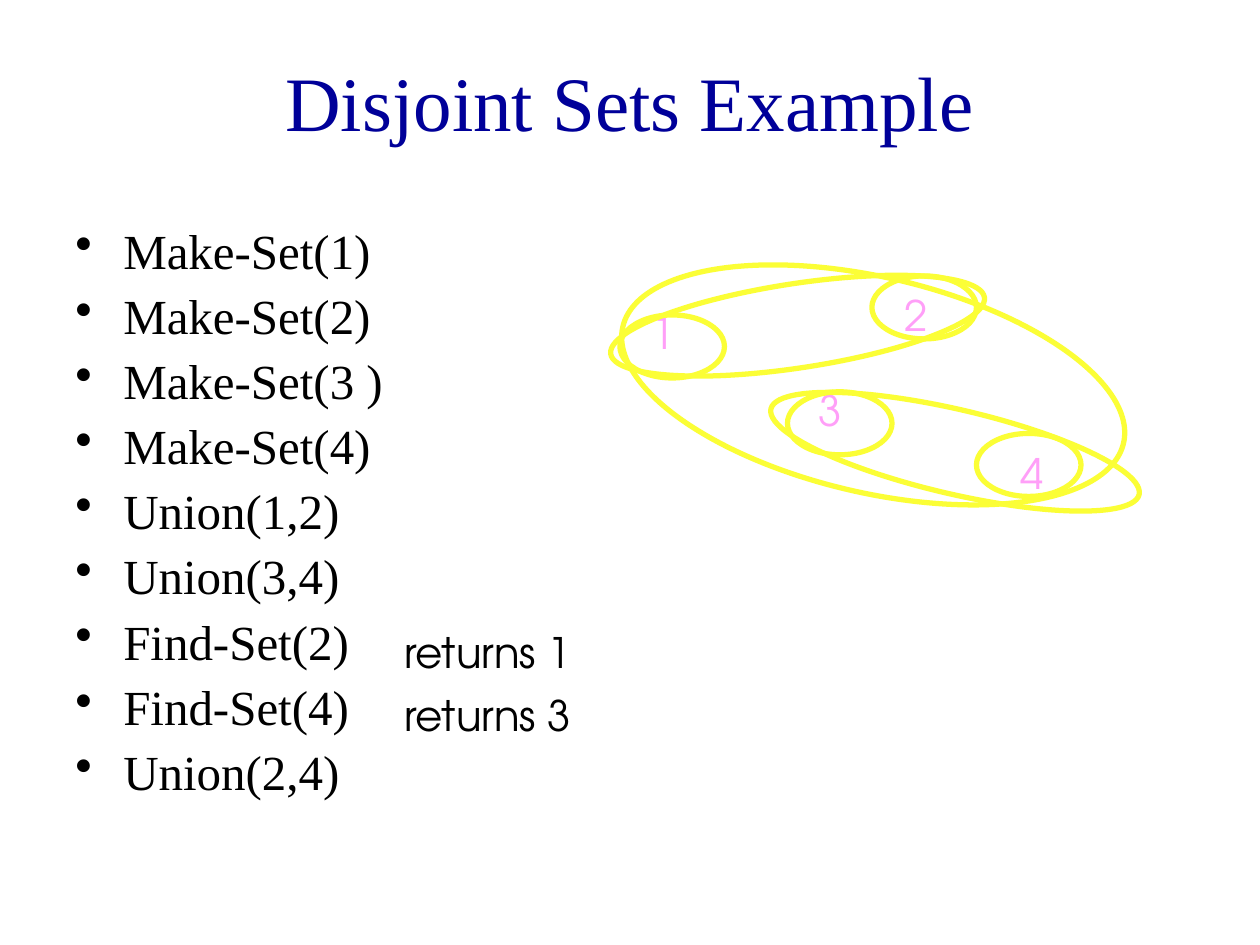
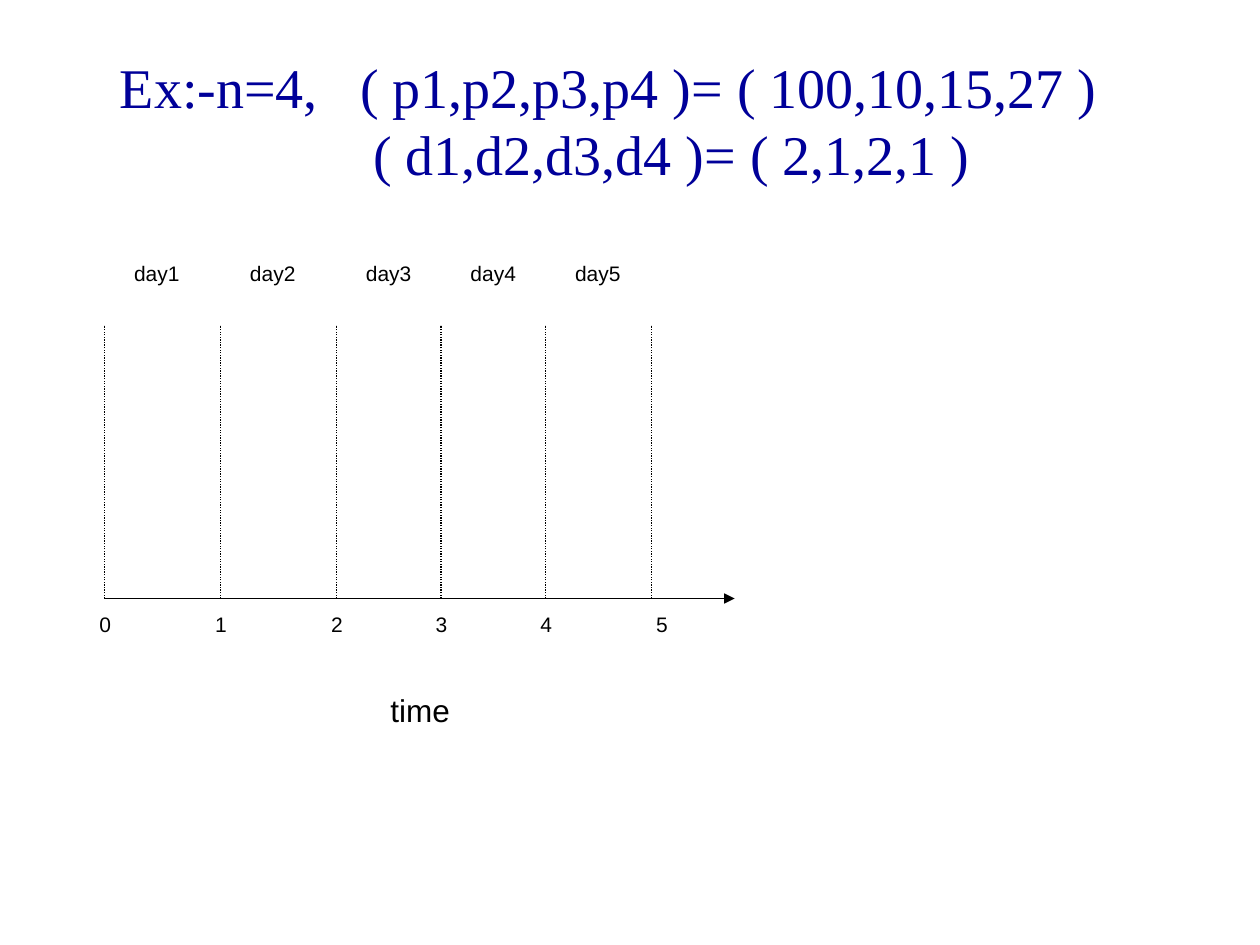
from lxml.etree import SubElement
from pptx import Presentation
from pptx.dml.color import RGBColor
from pptx.enum.dml import MSO_LINE
from pptx.enum.shapes import MSO_CONNECTOR as CONNECTOR, MSO_SHAPE as SHAPE
from pptx.enum.text import MSO_ANCHOR as ANCHOR, MSO_AUTO_SIZE as AUTO_SIZE, PP_ALIGN as ALIGN
from pptx.oxml.ns import qn
from pptx.util import Inches, Pt

COLORS = {
    "title": "000099",
    "text": "000000",
    "number": "FF9FF8",
    "ring": "FBFE36",
    "paper": "FFFFFF",
}
SERIF, SANS, ROUND = "Times New Roman", "Arial", "TeX Gyre Adventor"


def color(name):
    return RGBColor.from_string(COLORS[name])


class Deck:
    def __init__(self):
        self.deck = Presentation()
        self.deck.slide_width, self.deck.slide_height = Inches(10), Inches(7.5)
        self.page = None

    def new_page(self):
        self.page = self.deck.slides.add_slide(self.deck.slide_layouts[6])

    def span(self, para, text, size, font, tint="text"):
        span = para.add_run()
        span.text = text
        span.font.size, span.font.name = Pt(size), font
        span.font.color.rgb = color(tint)
        return span

    def box(self, left, top, width, height, wrap=True):
        box = self.page.shapes.add_textbox(*map(Inches, (left, top, width, height)))
        box.text_frame.word_wrap = wrap
        return box.text_frame

    def title(self, left, top):
        frame = self.box(left, top, 8.5, 1.25)
        frame.vertical_anchor = ANCHOR.MIDDLE
        frame.paragraphs[0].alignment = ALIGN.CENTER
        return frame

    def bullets(self, lines, left, top, width, height):
        frame = self.box(left, top, width, height)
        for index, line in enumerate(lines):
            para = frame.add_paragraph() if index else frame.paragraphs[0]
            para.line_spacing, para.space_before = 0.9, Pt(7)
            props = para._p.get_or_add_pPr()
            props.set("marL", str(Inches(0.38)))
            props.set("indent", str(-Inches(0.38)))
            SubElement(props, qn("a:buChar"), char="•")
            self.span(para, line, 28, SERIF)

    def note(self, text, left, top, width, tint="text"):
        frame = self.box(left, top, width, 0.5, wrap=False)
        frame.auto_size = AUTO_SIZE.SHAPE_TO_FIT_TEXT
        self.span(frame.paragraphs[0], text, 24, ROUND, tint)

    def shape(self, kind, left, top, width, height, line, weight):
        shape = self.page.shapes.add_shape(kind, *map(Inches, (left, top, width, height)))
        shape.shadow.inherit = False
        shape.line.color.rgb, shape.line.width = color(line), Pt(weight)
        return shape

    def ring(self, left, top, width, height, angle=0):
        ring = self.shape(SHAPE.OVAL, left, top, width, height, "ring", 3)
        ring.fill.background()
        ring.rotation = angle

    def label(self, text, left, top, width, height, size=12):
        plate = self.shape(SHAPE.RECTANGLE, left, top, width, height, "paper", 0.75)
        plate.fill.solid()
        plate.fill.fore_color.rgb = color("paper")
        frame = plate.text_frame
        frame.word_wrap, frame.vertical_anchor = False, ANCHOR.MIDDLE
        frame.paragraphs[0].alignment = ALIGN.CENTER
        self.span(frame.paragraphs[0], text, size, SANS)

    def line(self, x1, y1, x2, y2, dash=None, arrow=False):
        line = self.page.shapes.add_connector(CONNECTOR.STRAIGHT, *map(Inches, (x1, y1, x2, y2)))
        line.line.color.rgb, line.line.width = color("text"), Pt(0.75)
        if dash:
            line.line.dash_style = dash
        if arrow:
            SubElement(line.line._get_or_add_ln(), qn("a:tailEnd"), type="triangle")
        SubElement(line._element.spPr, qn("a:effectLst"))


def disjoint_sets(deck):
    deck.new_page()
    title = deck.title(0.75, 0.17)
    deck.span(title.paragraphs[0], "Disjoint Sets Example", 44, SERIF, "title")
    deck.bullets(
        ["Make-Set(1)", "Make-Set(2)", "Make-Set(3 )", "Make-Set(4)", "Union(1,2)",
         "Union(3,4)", "Find-Set(2)", "Find-Set(4)", "Union(2,4)"],
        0.5, 1.75, 3.11, 4.95)

    # Single-element sets: number position, then ring position
    singles = {
        "2": ((7.08, 2.25), (6.92, 2.19)),
        "1": ((5.07, 2.39), (4.92, 2.5)),
        "3": ((6.4, 3), (6.25, 3.11)),
        "4": ((8, 3.5), (7.75, 3.44)),
    }
    for number, (number_at, ring_at) in singles.items():
        deck.note(number, *number_at, 0.39, "number")
        deck.ring(*ring_at, 0.83, 0.5)

    # Unions of two sets, results, union of all
    deck.ring(4.83, 2.25, 3, 0.67, 351.4)
    deck.ring(6.08, 3.25, 3, 0.67, 13.1)
    for row, result in enumerate(["returns 1", "returns 3"]):
        deck.note(result, 3.11, 4.92 + 0.5 * row, 1.63)
    deck.ring(4.89, 2.2, 4.08, 1.71, 13.1)


def job_schedule(deck):
    deck.new_page()

    # Two-line title, kept above the middle by a deep bottom margin
    title = deck.title(0.58, 0.58)
    title.margin_bottom = Inches(0.56)
    profits = title.paragraphs[0]
    deck.span(profits, "Ex:-n=4,", 32, SERIF, "title")
    gap = deck.span(profits, " ", 32, SERIF, "title")
    gap._r.get_or_add_rPr().set("spc", "1600")
    deck.span(profits, "( p1,p2,p3,p4 )= ( 100,10,15,27 )", 32, SERIF, "title")
    deadlines = title.add_paragraph()
    deadlines.alignment = ALIGN.CENTER
    deadlines._p.get_or_add_pPr().set("marL", str(Inches(1)))
    deck.span(deadlines, "( d1,d2,d3,d4 )= ( 2,1,2,1 )", 32, SERIF, "title")

    # Time axis and day boundaries
    ticks = [0.83, 1.75, 2.67, 3.5, 4.33, 5.17]
    axis = 4.75
    deck.line(ticks[0], axis, 5.83, axis, arrow=True)
    for tick in ticks:
        deck.line(tick, axis, tick, 2.58, dash=MSO_LINE.ROUND_DOT)

    # Labels: the last number stands right of its tick
    for number, tick in enumerate(ticks):
        left = tick if tick == ticks[-1] else tick - 0.08
        deck.label(str(number), left, 4.83, 0.17, 0.25)
    deck.label("time", 1.42, 5.42, 3.83, 0.42, size=18)
    for day, tick in enumerate(ticks[:-1], 1):
        deck.label(f"day{day}", tick + 0.08, 2.08, 0.67, 0.17)


def main():
    deck = Deck()
    disjoint_sets(deck)
    job_schedule(deck)
    deck.deck.save("out.pptx")


if __name__ == "__main__":
    main()
